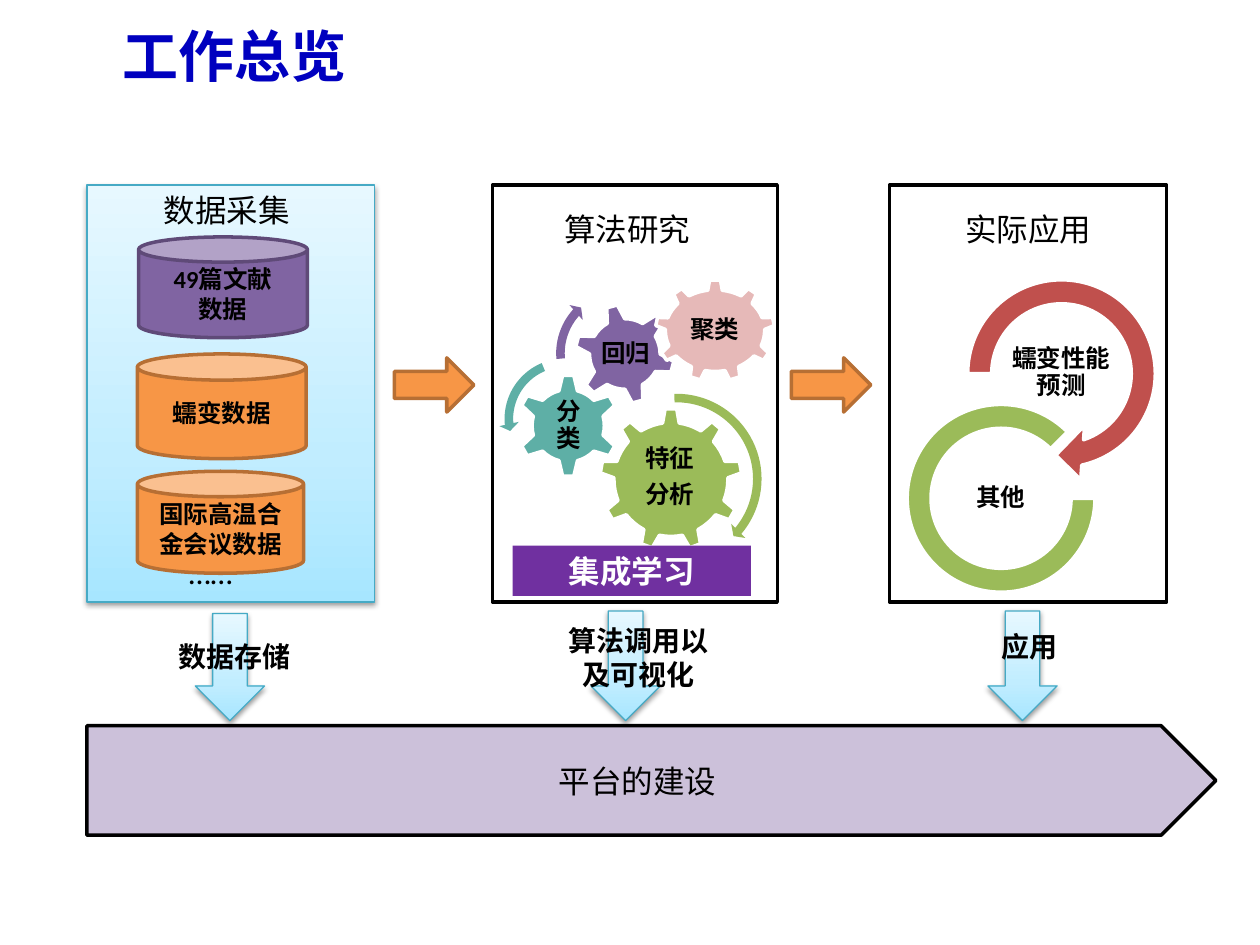
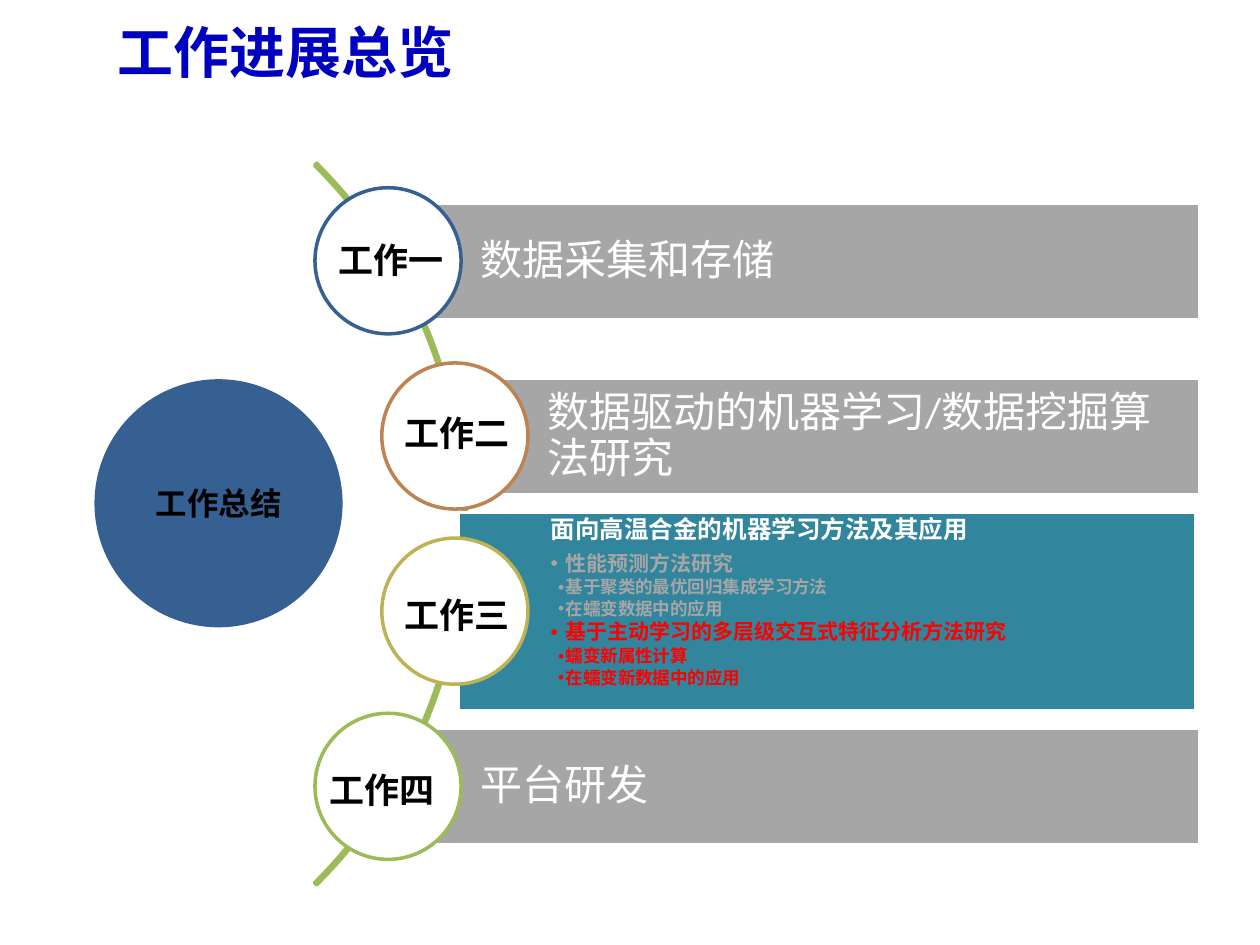
"""Build two overview slides: the work pipeline and the state of the work."""
from lxml.etree import SubElement
from pptx import Presentation
from pptx.dml.color import RGBColor as RGB
from pptx.enum.shapes import MSO_SHAPE as Kind
from pptx.enum.text import MSO_ANCHOR as Anchor, MSO_AUTO_SIZE as Fit, PP_ALIGN as Align
from pptx.oxml.ns import qn
from pptx.util import Pt


class Theme:
    head_font, font = "Noto Sans CJK SC", "Calibri"
    head, big, label, main, mid, small, sub, tiny = 32, 24, 20, 18, 16, 14, 12, 10
    title, black, white, red = "0000BF", "000000", "FFFFFF", "FF0000"
    orange, rust, violet, plum = "F79646", "B76F34", "8064A2", "5F4A78"
    green, teal, pink, brick = "9BBB59", "5EAFA6", "E6B9B8", "C0504D"
    lilac, purple, edge = "CCC1DA", "7030A0", "46AAC5"
    navy, tan, olive, gray, sea = "376092", "BE8351", "BDB255", "A6A6A6", "31859C"
    sky = ((0, "A7E6FF"), (35, "C1EDFF"), (100, "E7F8FF"))


def draw(slide, kind, box, fill=None, line=None, width=2, adj=()):
    """Add a preset shape; the sky fill brings its gradient and shadow."""
    shape = slide.shapes.add_shape(kind, *map(Pt, box))
    shape.shadow.inherit = False
    for i, value in enumerate(adj):
        shape.adjustments[i] = value
    if fill == Theme.sky:
        shape.fill.gradient()
        shape.fill.gradient_angle = 90
        props = shape.element.spPr
        stops = props.find(qn("a:gradFill")).find(qn("a:gsLst"))
        for stop in list(stops):
            stops.remove(stop)
        for pos, tone in fill:
            stop = SubElement(stops, qn("a:gs"), pos=str(pos * 1000))
            SubElement(stop, qn("a:srgbClr"), val=tone)
        shade = SubElement(props.find(qn("a:effectLst")), qn("a:outerShdw"), blurRad=str(Pt(3.1)),
                           dist=str(Pt(1.6)), dir="5400000", rotWithShape="0")
        tone = SubElement(shade, qn("a:srgbClr"), val=Theme.black)
        SubElement(tone, qn("a:alpha"), val="38000")
    elif fill:
        shape.fill.solid()
        shape.fill.fore_color.rgb = RGB.from_string(fill)
    else:
        shape.fill.background()
    if line:
        shape.line.color.rgb = RGB.from_string(line)
        shape.line.width = Pt(width)
    else:
        shape.line.fill.background()
    return shape


def write(shape, text, size, color=Theme.black, bold=True, align=Align.CENTER,
          anchor=None, inset=None, tight=False, font=Theme.font):
    """Fill a shape with text in one style."""
    frame = shape.text_frame
    frame.text = text
    frame.word_wrap = True
    frame.auto_size = Fit.NONE
    if anchor is not None:
        frame.vertical_anchor = anchor
    if inset:
        (frame.margin_left, frame.margin_top,
         frame.margin_right, frame.margin_bottom) = map(Pt, inset)
    for para in frame.paragraphs:
        para.alignment = align
        if tight:
            para.line_spacing = 0.9
            para.space_before = Pt(0)
            para.space_after = Pt(round(size * 0.35, 1))
        for run in para.runs:
            run.font.name = font
            run.font.size = Pt(size)
            run.font.bold = bold
            run.font.color.rgb = RGB.from_string(color)
            props = run.font._element
            props.set("lang", "zh-CN")
            SubElement(props, qn("a:ea"), typeface=font)


deck = Presentation()
deck.slide_width, deck.slide_height = Pt(720), Pt(540)
flow = deck.slides.add_slide(deck.slide_layouts[5])
work = deck.slides.add_slide(deck.slide_layouts[1])
for slide, text, left, top in ((flow, "工作总览", 62.6, 0), (work, "工作进展总览", 59.8, -2.2)):
    title = slide.shapes.title
    title.left, title.top, title.width, title.height = map(Pt, (left, top, 648, 62.6))
    write(title, text, Theme.head, Theme.title, align=Align.LEFT,
          anchor=Anchor.MIDDLE, font=Theme.head_font)

panels = (
    ("数据采集", 49.7, 164.2, 64.1, 105.8, Theme.sky, Theme.edge, 0.75),
    ("算法研究", 281.5, 162.7, 293, 116.6, Theme.white, Theme.black, 2),
    ("实际应用", 508.3, 158.4, 522, 116.6, Theme.white, Theme.black, 2),
)
for text, left, wide, x, y, fill, line, width in panels:
    draw(flow, Kind.RECTANGLE, (left, 105.8, wide, 238.3), fill, line, width)
    name = flow.shapes.add_textbox(*map(Pt, (x, y, 131, 28.8)))
    write(name, text, Theme.main, bold=False)
for left in (225.4, 452.2):
    draw(flow, Kind.RIGHT_ARROW, (left, 204.5, 45.4, 31), Theme.orange, Theme.rust)

plate = draw(flow, Kind.PENTAGON, (49.7, 414.7, 645.1, 62.6), Theme.lilac, Theme.black)
write(plate, "平台的建设", Theme.main, bold=False)

dots = flow.shapes.add_textbox(*map(Pt, (100.8, 312.5, 39.6, 28.8)))
write(dots, "……", Theme.main, bold=False, align=Align.LEFT)
cans = (
    ("49篇文献\n数据", (79.2, 135.4, 96.5, 57.6), Theme.violet, Theme.plum),
    ("蠕变数据", (78.5, 202.3, 96.5, 59.8), Theme.orange, Theme.rust),
    ("国际高温合金会议数据", (78.5, 269.3, 95, 58.3), Theme.orange, Theme.rust),
)
for text, box, fill, line in cans:
    write(draw(flow, Kind.CAN, box, fill, line), text, Theme.small)

gears = (
    (Kind.GEAR_9, (342.7, 233.3, 81.4, 81.4), 0, Theme.green),
    (Kind.GEAR_6, (295.2, 213.8, 59, 59), 0, Theme.teal),
    (Kind.GEAR_6, (328.3, 173.5, 57.6, 57.6), 345, Theme.violet),
    (Kind.GEAR_9, (374.4, 159.8, 68.4, 58.3), 0, Theme.pink),
)
for kind, box, turn, fill in gears:
    draw(flow, kind, box, fill, Theme.white).rotation = turn

turns = (
    (Kind.CIRCULAR_ARROW, (334.8, 221.8), 103.7, Theme.green, None,
     (0.047, 2.99, 24.105, 161.113, 0.055)),
    (Kind.LEFT_CIRCULAR_ARROW, (285.1, 201.6), 75.6, Theme.teal, None,
     (0.065, 4.3, 104.891, 148.378, 0.075)),
    (Kind.CIRCULAR_ARROW, (314.6, 161.3), 81.4, Theme.violet, None,
     (0.06, 3.941, 133.138, 105.082, 0.07)),
    (Kind.CIRCULAR_ARROW, (544.3, 151.2), 124.6, Theme.brick, Theme.white,
     (0.11, 11.423, 45, 108, 0.125)),
    (Kind.BLOCK_ARC, (518.4, 231.1), 107.3, Theme.green, Theme.white, (0, 189, 0.127)),
)
for kind, spot, size, fill, line, adj in turns:
    draw(flow, kind, (*spot, size, size), fill, line, adj=adj)

tags = (
    ("特征\n分析", (358.6, 252, 48.2, 41.8)),
    ("分类", (310.3, 229, 29.5, 28.8)),
    ("回归", (341.3, 186.5, 32.4, 32.4)),
    ("聚类", (388.1, 173.5, 41, 30.2)),
    ("蠕变性能预测", (571.7, 195.8, 69.8, 34.6)),
    ("其他", (537.1, 267.8, 69.8, 34.6)),
)
for text, box in tags:
    tag = flow.shapes.add_textbox(*map(Pt, box))
    write(tag, text, Theme.small, anchor=Anchor.MIDDLE, inset=(1, 1, 1, 1), tight=True)

banner = draw(flow, Kind.RECTANGLE, (293, 311.8, 136.1, 28.8), Theme.purple)
write(banner, "集成学习", Theme.main, Theme.white)

drops = (
    ("数据存储", (111.6, 350.6, 39.6, 61.2), (95, 362.2, 102.2, 26.6), Align.LEFT),
    ("算法调用以及可视化", (337.7, 349.2, 39.6, 62.6), (313.9, 352.8, 102.2, 46), Align.CENTER),
    ("应用", (564.5, 349.2, 39.6, 62.6), (537.1, 356.4, 102.2, 26.6), Align.CENTER),
)
for text, box, spot, align in drops:
    draw(flow, Kind.DOWN_ARROW, box, Theme.sky, Theme.edge, 0.75)
    write(flow.shapes.add_textbox(*map(Pt, spot)), text, Theme.mid, align=align)

hub = draw(work, Kind.OVAL, (54, 216.7, 141.8, 141.8), Theme.navy)
write(hub, "工作总结", Theme.main)
arc = draw(work, Kind.BLOCK_ARC, (-316.8, 7.9, 583.2, 583.2), line=Theme.green,
           adj=(189, 27, 0.003))

items = (
    ("面向高温合金的机器学习方法及其应用", 0, Theme.white),
    ("性能预测方法研究", 1, Theme.gray),
    ("基于聚类的最优回归集成学习方法", 2, Theme.gray),
    ("在蠕变数据中的应用", 2, Theme.gray),
    ("基于主动学习的多层级交互式特征分析方法研究", 1, Theme.red),
    ("蠕变新属性计算", 2, Theme.red),
    ("在蠕变新数据中的应用", 2, Theme.red),
)
body = work.placeholders[1]
body.left, body.top, body.width, body.height = map(Pt, (262.1, 293, 421.2, 113))
body.fill.solid()
body.fill.fore_color.rgb = RGB.from_string(Theme.sea)
body.line.color.rgb = RGB.from_string(Theme.white)
body.line.width = Pt(2)
arc.element.addnext(body.element)
write(body, "\n".join(item[0] for item in items), Theme.small, align=Align.LEFT,
      anchor=Anchor.TOP, inset=(52.6, 2.9, 2.9, 2.9), tight=True)
sizes, hangs = (Theme.small, Theme.sub, Theme.tiny), (0, 8.6, 4.3)
for para, (text, level, color) in zip(body.text_frame.paragraphs, items):
    props = para._p.get_or_add_pPr()
    props.set("marL", str(Pt(8.6 if level else 0)))
    props.set("indent", str(-Pt(hangs[level])))
    if level:
        SubElement(props, qn("a:buChar"), char="•")
        para.space_after = Pt(sizes[level] * 0.15)
    else:
        SubElement(props, qn("a:buNone"))
    para.level = level
    run = para.runs[0]
    run.font.size = Pt(sizes[level])
    run.font.color.rgb = RGB.from_string(color)

steps = (
    ("工作一", "数据采集和存储", 180, Theme.navy, 186.5, 132.5),
    ("工作二", "数据驱动的机器学习/数据挖掘算法研究", 218.2, Theme.tan, 223.9, 231.8),
    ("工作三", None, 218.2, Theme.olive, 223.9, 335.5),
    ("工作四", "平台研发", 180, Theme.green, 181.4, 435.6),
)
for i, (label, text, left, line, x, y) in enumerate(steps):
    if text:
        start = left + 41.8
        bar = draw(work, Kind.RECTANGLE, (start, 116.4 + 100 * i, 685.4 - start, 66.6),
                   Theme.gray, Theme.white)
        write(bar, text, Theme.big, Theme.white, False, Align.LEFT,
              inset=(52.6, 5, 5, 5), tight=True)
    draw(work, Kind.OVAL, (left, 107.3 + 100.1 * i, 83.5, 83.5), Theme.white, line)
    name = work.shapes.add_textbox(*map(Pt, (x, y, 82, 31.7)))
    write(name, label, Theme.label, align=Align.LEFT)

deck.save("out.pptx")
